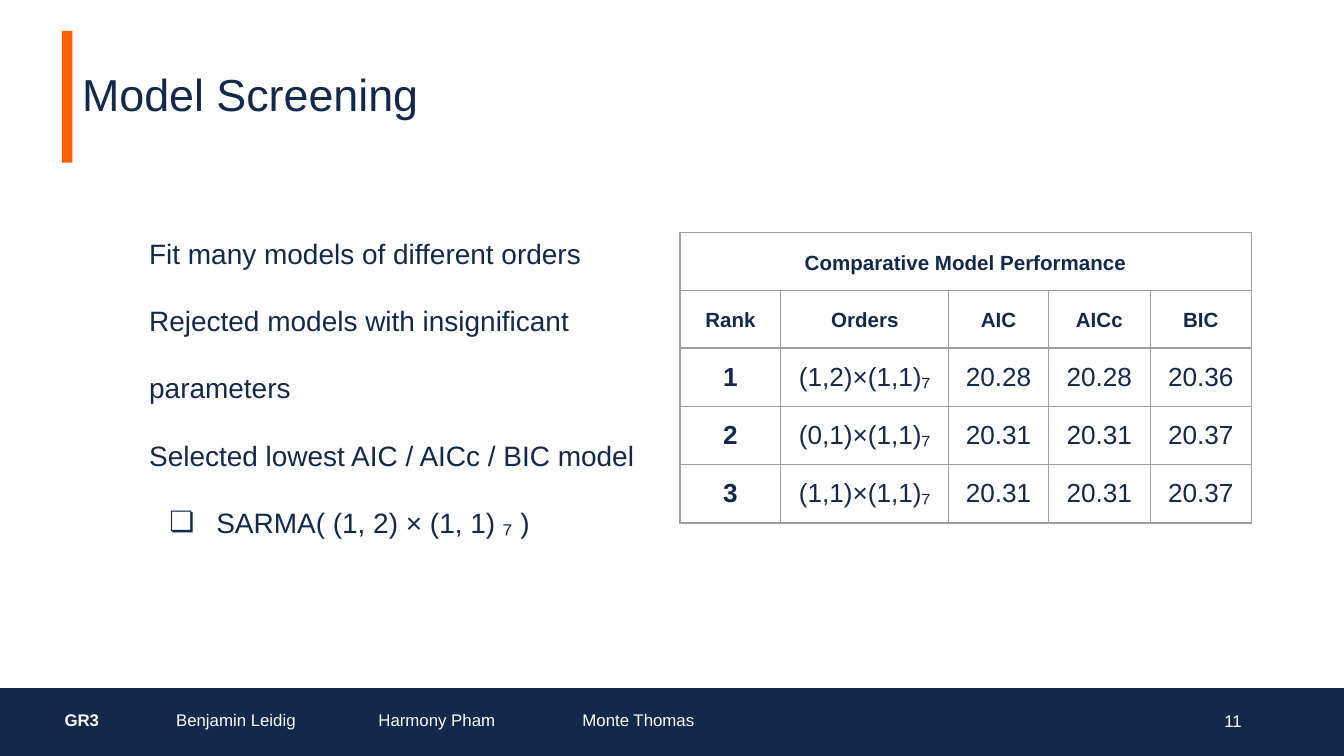
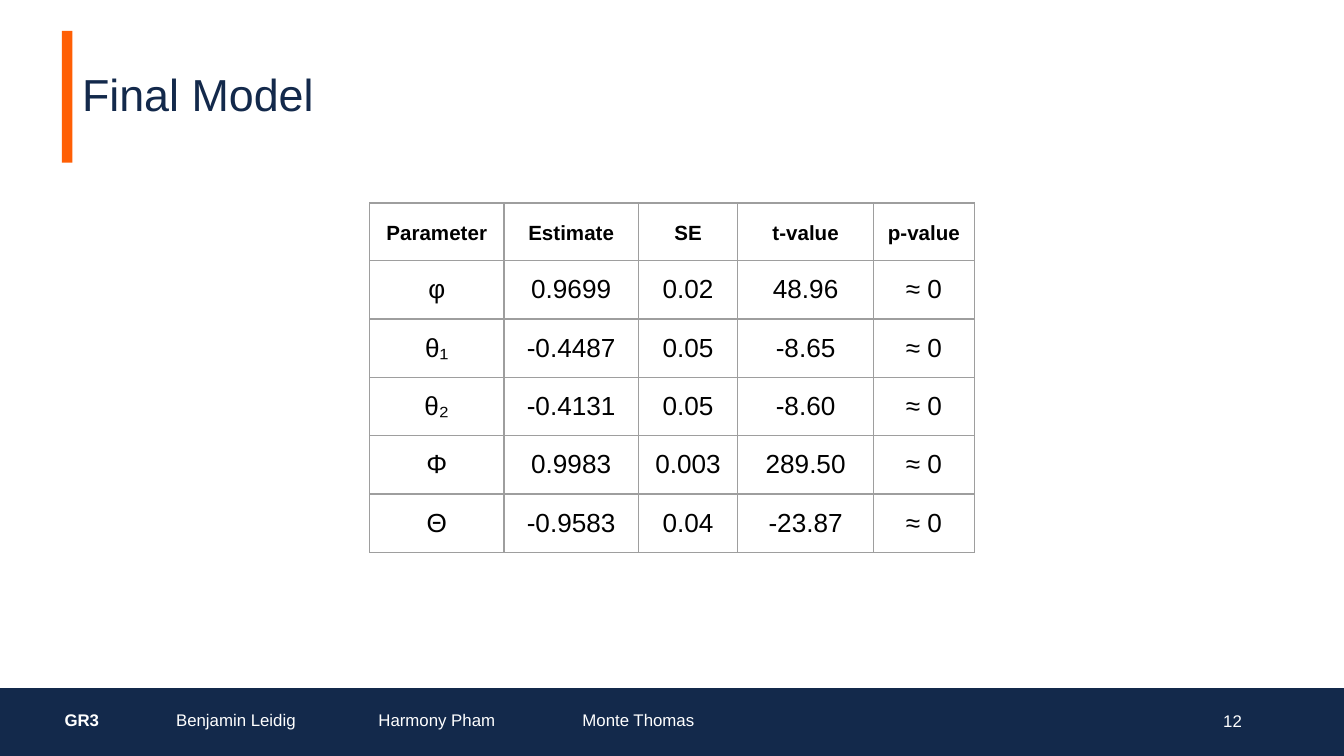
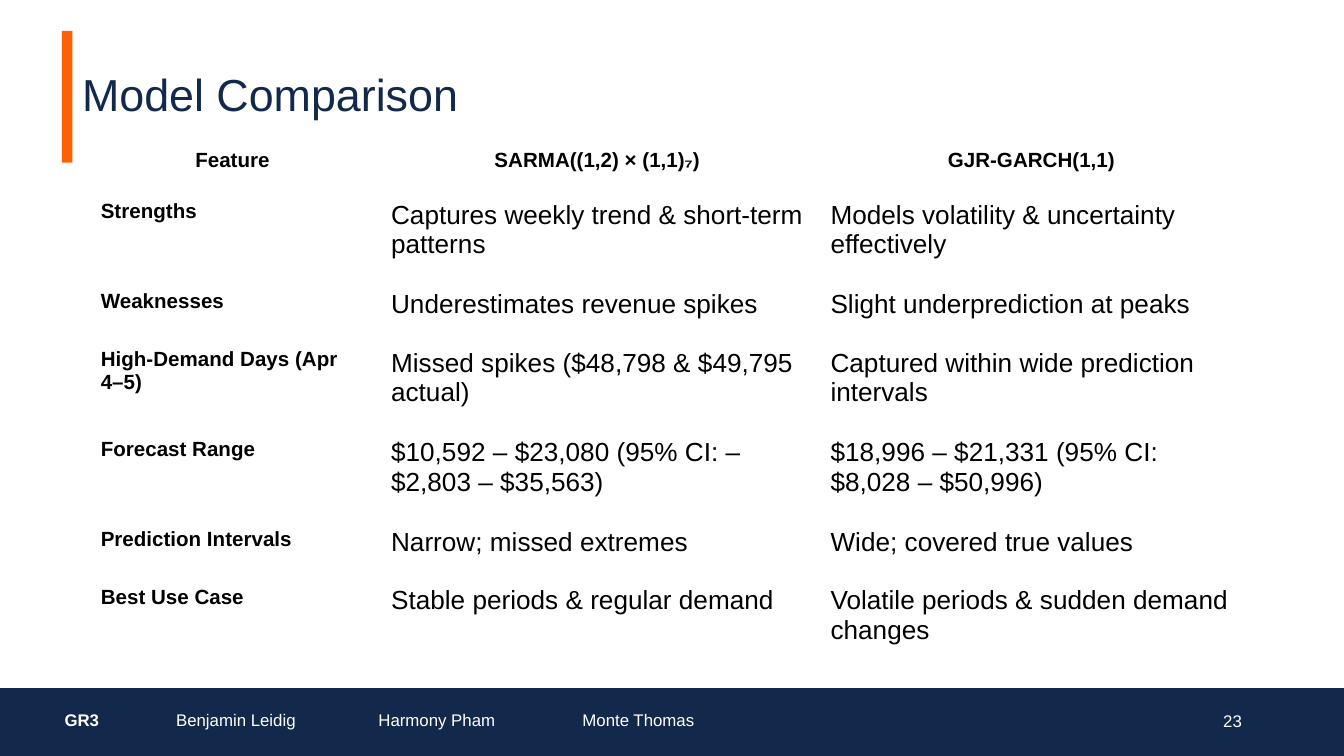
from dataclasses import dataclass

from lxml import etree
from pptx import Presentation
from pptx.dml.color import RGBColor
from pptx.enum.shapes import MSO_SHAPE
from pptx.enum.text import MSO_ANCHOR, PP_ALIGN
from pptx.oxml.ns import qn
from pptx.util import Inches, Pt

RECTANGLE = MSO_SHAPE.RECTANGLE
TOP, MIDDLE = MSO_ANCHOR.TOP, MSO_ANCHOR.MIDDLE
LEFT, CENTER, RIGHT = PP_ALIGN.LEFT, PP_ALIGN.CENTER, PP_ALIGN.RIGHT
PLAIN_TABLE_STYLE = "{2D5ABB26-0587-4C30-8999-92F81FD0307C}"


@dataclass(frozen=True)
class Theme:
    font: str = "Arial"
    navy: str = "13294B"
    orange: str = "FF5F05"
    white: str = "FFFFFF"
    black: str = "000000"
    rule: str = "9E9E9E"
    title: int = 24
    body: int = 15
    value: int = 14
    heading: int = 11
    footer: int = 9


theme = Theme()

# Text formats
TITLE = {"size": Pt(theme.title), "color": theme.navy, "line_spacing": 0.9}
POINT = {"size": Pt(theme.body), "color": theme.navy, "line_spacing": 2.0}
PAGE = {"size": Pt(theme.footer), "color": theme.white, "alignment": RIGHT}
AUTHOR = {"size": Pt(theme.footer), "color": theme.white, "alignment": CENTER}
GROUP = {**AUTHOR, "bold": True, "alignment": LEFT}
HEADING = {"size": Pt(theme.heading), "color": theme.black, "bold": True,
           "alignment": CENTER, "line_spacing": 1.15}
VALUE = {"size": Pt(theme.value), "color": theme.black, "alignment": CENTER}
NAVY_HEADING = {**HEADING, "color": theme.navy}
NAVY_VALUE = {**VALUE, "color": theme.navy}
RANK = {**NAVY_VALUE, "bold": True}
FEATURE = {**HEADING, "alignment": LEFT, "line_spacing": 1.0}
REMARK = {**VALUE, "alignment": LEFT}

presentation = Presentation()
presentation.slide_width = Inches(10)
presentation.slide_height = presentation.slide_width * 9 // 16
COLUMN = presentation.slide_width / 100
ROW = presentation.slide_height / 56.25


def write(paragraph, text, text_format):
    run = paragraph.add_run()
    run.text = text
    run.font.name = theme.font
    for name, value in text_format.items():
        if name == "color":
            run.font.color.rgb = RGBColor.from_string(value)
        else:
            owner = paragraph if name in ("alignment", "line_spacing") else run.font
            setattr(owner, name, value)


def place_table(slide, left, top, widths, height, rows, label, value,
                heading=None, heading_rows=0, anchor=MIDDLE, ruled=False):
    """Place a table by grid units; a row with one text spans all columns."""
    frame = slide.shapes.add_table(
        len(rows), len(widths), int(left * COLUMN), int(top * ROW),
        int(sum(widths) * COLUMN), int(height * len(rows) * ROW))
    table = frame.table
    table.first_row = table.horz_banding = False
    for style in frame.element.iter(qn("a:tableStyleId")):
        style.text = PLAIN_TABLE_STYLE
    for column, width in zip(table.columns, widths):
        column.width = int(width * COLUMN)
    for row_index, texts in enumerate(rows):
        table.rows[row_index].height = int(height * ROW)
        for column_index in range(len(widths)):
            cell = table.cell(row_index, column_index)
            cell.vertical_anchor = anchor
            for side in ("left", "right", "top", "bottom"):
                setattr(cell, f"margin_{side}", Inches(0.1))
            if ruled:
                properties = cell._tc.get_or_add_tcPr()
                for edge in ("a:lnL", "a:lnR", "a:lnT", "a:lnB"):
                    line = etree.SubElement(properties, qn(edge), w=str(Pt(0.75)))
                    fill = etree.SubElement(line, qn("a:solidFill"))
                    etree.SubElement(fill, qn("a:srgbClr"), val=theme.rule)
            cell.fill.background()
            if column_index < len(texts):
                text_format = label if column_index == 0 else value
                if row_index < heading_rows:
                    text_format = heading
                write(cell.text_frame.paragraphs[0], texts[column_index], text_format)
        if len(texts) == 1:
            table.cell(row_index, 0).merge(table.cell(row_index, len(widths) - 1))


screening_points = [
    # text, indent in inches, bullet
    ("Fit many models of different orders", 0.5, None),
    ("Rejected models with insignificant parameters", 0.5, None),
    ("Selected lowest AIC / AICc / BIC model", 0.5, None),
    ("SARMA( (1, 2) × (1, 1) ₇ )", 1, "❏"),
]
screening_table = {
    "left": 50.6, "top": 17.3, "widths": (7.5, 12.5, 7.4, 7.6, 7.5), "height": 4.3,
    "heading": NAVY_HEADING, "heading_rows": 2, "label": RANK, "value": NAVY_VALUE,
    "ruled": True,
    "rows": [
        ("Comparative Model Performance",),
        ("Rank", "Orders", "AIC", "AICc", "BIC"),
        ("1", "(1,2)×(1,1)₇", "20.28", "20.28", "20.36"),
        ("2", "(0,1)×(1,1)₇", "20.31", "20.31", "20.37"),
        ("3", "(1,1)×(1,1)₇", "20.31", "20.31", "20.37"),
    ],
}
parameter_table = {
    "left": 27.5, "top": 15.1, "widths": (10, 10, 7.4, 10.1, 7.5), "height": 4.3,
    "heading": HEADING, "heading_rows": 1, "label": VALUE, "value": VALUE,
    "ruled": True,
    "rows": [
        ("Parameter", "Estimate", "SE", "t-value", "p-value"),
        ("φ", "0.9699", "0.02", "48.96", "≈ 0"),
        ("θ₁", "-0.4487", "0.05", "-8.65", "≈ 0"),
        ("θ₂", "-0.4131", "0.05", "-8.60", "≈ 0"),
        ("Φ", "0.9983", "0.003", "289.50", "≈ 0"),
        ("Θ", "-0.9583", "0.04", "-23.87", "≈ 0"),
    ],
}
comparison_table = {
    "left": 6.5, "top": 9.8, "widths": (21.6, 32.7, 31.9), "height": 2.2,
    "heading": HEADING, "heading_rows": 1, "label": FEATURE, "value": REMARK,
    "anchor": TOP,
    "rows": [
        ("Feature", "SARMA((1,2) × (1,1)₇)", "GJR-GARCH(1,1)"),
        ("Strengths", "Captures weekly trend & short-term patterns",
         "Models volatility & uncertainty effectively"),
        ("Weaknesses", "Underestimates revenue spikes",
         "Slight underprediction at peaks"),
        ("High-Demand Days (Apr 4–5)", "Missed spikes ($48,798 & $49,795 actual)",
         "Captured within wide prediction intervals"),
        ("Forecast Range", "$10,592 – $23,080 (95% CI: –$2,803 – $35,563)",
         "$18,996 – $21,331 (95% CI: $8,028 – $50,996)"),
        ("Prediction Intervals", "Narrow; missed extremes",
         "Wide; covered true values"),
        ("Best Use Case", "Stable periods & regular demand",
         "Volatile periods & sudden demand changes"),
    ],
}
footer_table = {
    "left": 3.8, "top": 51.5, "widths": (6.3, 14.9, 15, 15), "height": 4.2,
    "label": GROUP, "value": AUTHOR,
    "rows": [("GR3", "Benjamin Leidig", "Harmony Pham", "Monte Thomas")],
}
bands = [
    # left, top, width, height, colour
    (4.6, 2.3, 0.8, 9.8, theme.orange),
    (0, 51.2, 100, 5.05, theme.navy),
]
pages = [
    ("Model Screening", "11", screening_points, screening_table),
    ("Final Model", "12", [], parameter_table),
    ("Model Comparison", "23", [], comparison_table),
]

for title, page_number, points, content_table in pages:
    slide = presentation.slides.add_slide(presentation.slide_layouts[6])
    for left, top, width, height, color in bands:
        band = slide.shapes.add_shape(
            RECTANGLE, int(left * COLUMN), int(top * ROW),
            int(width * COLUMN), int(height * ROW))
        band.shadow.inherit = False
        band.fill.solid()
        band.fill.fore_color.rgb = RGBColor.from_string(color)
        band.line.fill.background()

    text_boxes = [
        (5.4, 2.3, 85.1, 9.8, MIDDLE, TITLE, [(title, 0, None)]),
        (70.6, 52.1, 22.5, 3, MIDDLE, PAGE, [(page_number, 0, None)]),
    ]
    if points:
        text_boxes.append((5.4, 14.7, 44.6, 33.8, TOP, POINT, points))
    for left, top, width, height, anchor, text_format, lines in text_boxes:
        frame = slide.shapes.add_textbox(
            int(left * COLUMN), int(top * ROW),
            int(width * COLUMN), int(height * ROW)).text_frame
        frame_format = {
            "word_wrap": True, "vertical_anchor": anchor,
            "margin_left": Inches(0.07), "margin_right": Inches(0.07),
            "margin_top": Inches(0.04), "margin_bottom": Inches(0.04)}
        for name, value in frame_format.items():
            setattr(frame, name, value)
        for index, (text, indent, bullet) in enumerate(lines):
            paragraph = frame.add_paragraph() if index else frame.paragraphs[0]
            write(paragraph, text, text_format)
            properties = paragraph._p.get_or_add_pPr()
            properties.set("marL", str(Inches(indent)))
            if bullet:
                properties.set("lvl", "1")
                properties.set("indent", str(Inches(-0.35)))
                bullet_color = etree.SubElement(properties, qn("a:buClr"))
                etree.SubElement(bullet_color, qn("a:srgbClr"), val=theme.navy)
                etree.SubElement(properties, qn("a:buFont"), typeface=theme.font)
                etree.SubElement(properties, qn("a:buChar"), char=bullet)

    place_table(slide, **content_table)
    place_table(slide, **footer_table)

presentation.save("out.pptx")
